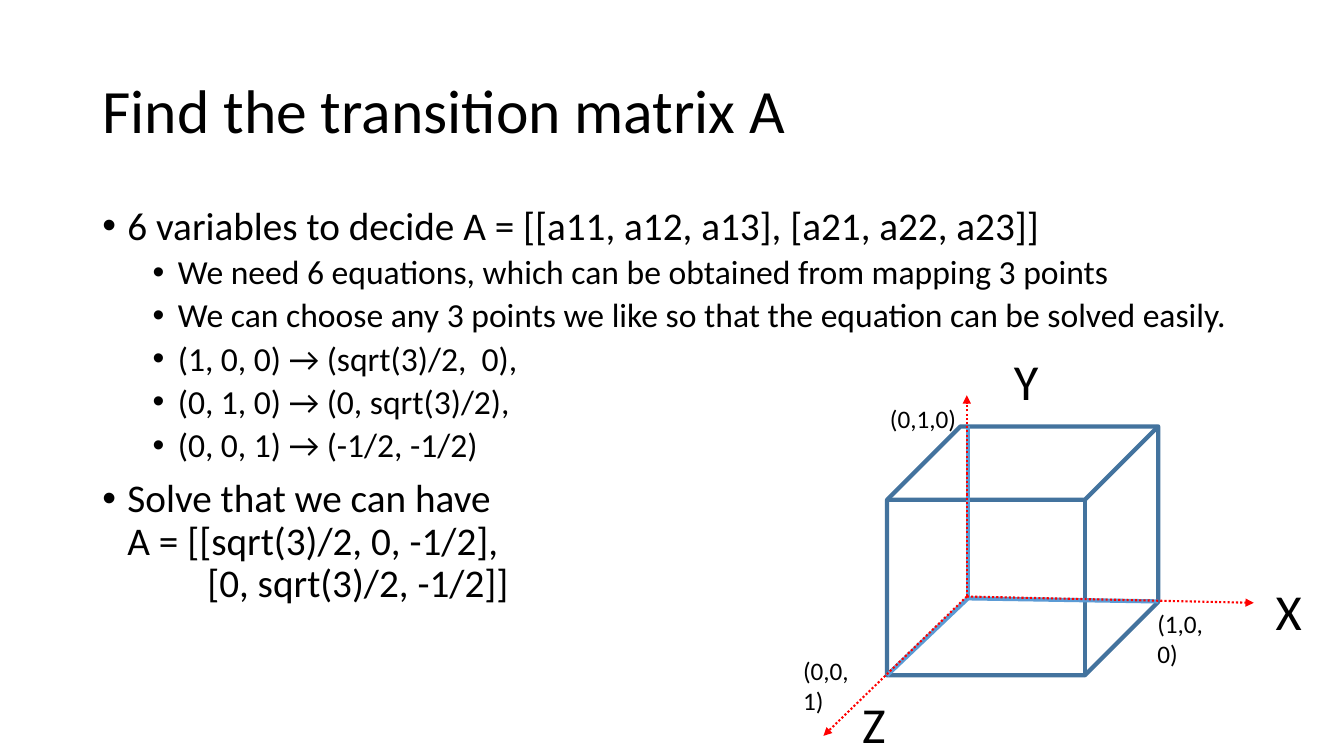
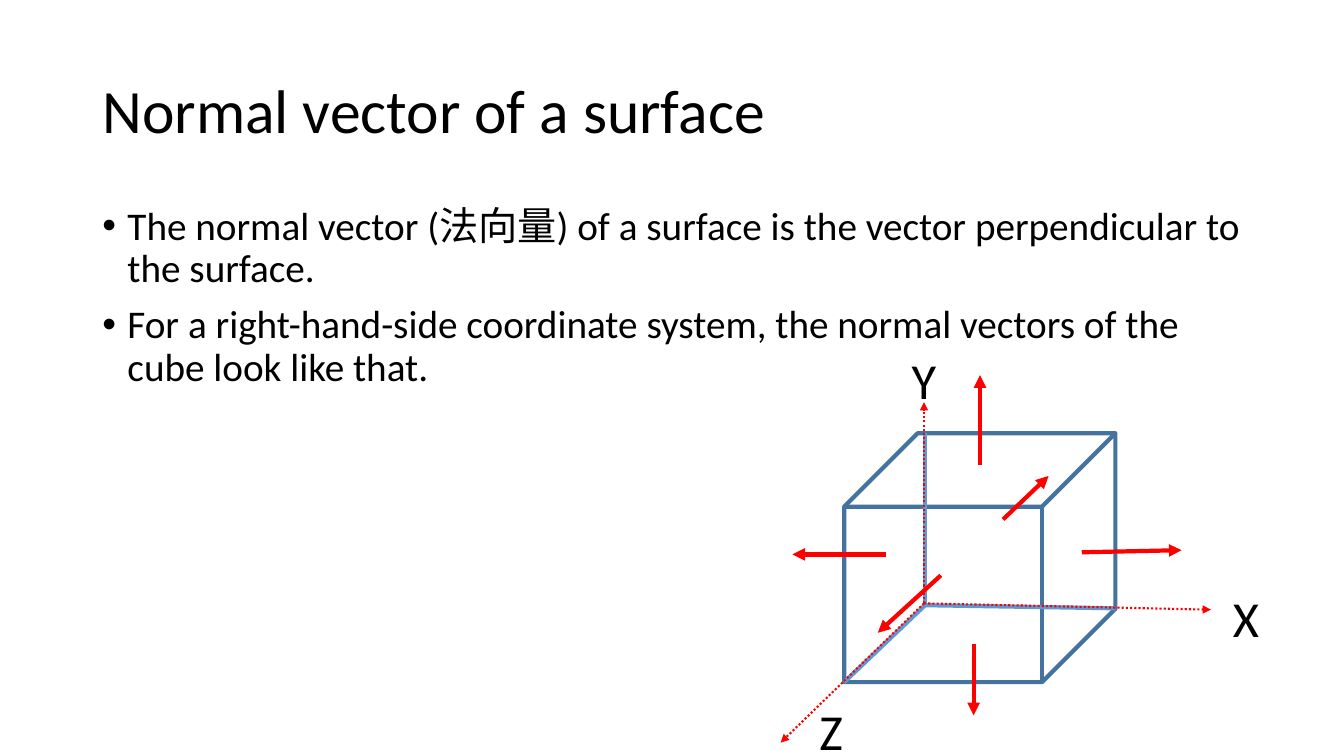
from lxml.etree import SubElement
from pptx import Presentation
from pptx.dml.color import RGBColor
from pptx.enum.dml import MSO_LINE
from pptx.enum.shapes import MSO_CONNECTOR, MSO_SHAPE
from pptx.enum.text import MSO_ANCHOR, MSO_AUTO_SIZE, PP_ALIGN
from pptx.oxml.ns import qn
from pptx.util import Pt

BLACK = RGBColor(0x00, 0x00, 0x00)
EDGE_BLUE = RGBColor(0x43, 0x73, 0x9E)
HIDDEN_BLUE = RGBColor(0x5B, 0x9B, 0xD5)
RED = RGBColor(0xFF, 0x00, 0x00)
FONT = "Calibri"
TITLE_BOX = (66, 28.75, 828, 104.4)
BODY_BOX = (66, 143.75, 828, 342.6)
CUBE_SIZE = (193.7, 177.8)
DEPTH = 0.295
LEVELS = [
    {"size": 28, "margin": 18, "before": 10},
    {"size": 24, "margin": 54, "before": 5},
]


def write(para, text, size, margin=0, before=0, spacing=None, bullet=False):
    """Fill a paragraph with text in the shared font."""
    para.text = text
    para.alignment = PP_ALIGN.LEFT
    para.space_before = Pt(before)
    para.line_spacing = spacing
    para.font.name = FONT
    for span in para.runs:
        span.font.name = FONT
        span.font.size = Pt(size)
        span.font.color.rgb = BLACK
    properties = para._p.get_or_add_pPr()
    properties.set("marL", str(Pt(margin)))
    properties.set("indent", str(Pt(-18 if bullet else 0)))
    if bullet:
        SubElement(properties, qn("a:buFont"), typeface="Arial")
        SubElement(properties, qn("a:buChar"), char="•")


def add_title(page, box, text):
    """Place and format the title placeholder."""
    title = page.shapes.title
    title.left, title.top, title.width, title.height = map(Pt, box)
    frame = title.text_frame
    frame.auto_size = MSO_AUTO_SIZE.NONE
    frame.vertical_anchor = MSO_ANCHOR.MIDDLE
    write(frame.paragraphs[0], text, 44, spacing=0.9)


def add_body(page, box, items):
    """Write (level, text) bullets and return the text frame."""
    frame = page.shapes.add_textbox(*map(Pt, box)).text_frame
    frame.word_wrap = True
    for number, (level, text) in enumerate(items):
        para = frame.add_paragraph() if number else frame.paragraphs[0]
        para.level = level
        write(para, text, spacing=0.9, bullet=True, **LEVELS[level])
    return frame


def add_label(shapes, box, text, size):
    """Add a short unwrapped label."""
    frame = shapes.add_textbox(*map(Pt, box)).text_frame
    frame.word_wrap = False
    frame.auto_size = MSO_AUTO_SIZE.SHAPE_TO_FIT_TEXT
    write(frame.paragraphs[0], text, size)


def add_line(shapes, corner, start, end, color, width=3, dash=None, arrow=False):
    """Draw a line between two points measured from a corner."""
    left, top = corner
    ends = (left + start[0], top + start[1], left + end[0], top + end[1])
    line = shapes.add_connector(MSO_CONNECTOR.STRAIGHT, *map(Pt, ends))
    line.line.color.rgb = color
    line.line.width = Pt(width)
    if dash:
        line.line.dash_style = dash
    properties = line.element.spPr
    if arrow:
        SubElement(properties.find(qn("a:ln")), qn("a:tailEnd"), type="triangle")
    SubElement(properties, qn("a:effectLst"))


def add_cube(page, corner, y_label):
    """Draw the wire cube with its axes and return the group's shapes."""
    shapes = page.shapes.add_group_shape().shapes
    left, top = corner
    width, height = CUBE_SIZE
    cube = shapes.add_shape(MSO_SHAPE.CUBE, *map(Pt, (left, top, width, height)))
    cube.adjustments[0] = DEPTH
    cube.shadow.inherit = False
    cube.fill.background()
    cube.line.color.rgb = EDGE_BLUE
    cube.line.width = Pt(3)

    hidden = (57.8, 122.8)
    for end in [(hidden[0], 0), (width, 125), (0, height)]:
        add_line(shapes, corner, hidden, end, HIDDEN_BLUE)
    axis_ends = [(262, 126), (-45.4, 221), (57, -22.3)]
    for end in axis_ends:
        add_line(shapes, corner, (57, 121.5), end, RED, width=1.5,
                 dash=MSO_LINE.ROUND_DOT, arrow=True)
    labels = {"X": (270.5, 106), "Z": (-24.8, 187), "Y": y_label}
    for text, (across, down) in labels.items():
        add_label(shapes, (left + across, top + down, 32.5, 51), text, 36)
    return shapes


def build_matrix_slide(deck):
    """Build the transition matrix slide."""
    page = deck.slides.add_slide(deck.slide_layouts[5])
    add_title(page, TITLE_BOX, "Find the transition matrix A")
    frame = add_body(page, BODY_BOX, [
        (0, "6 variables to decide A = [[a11, a12, a13], [a21, a22, a23]]"),
        (1, "We need 6 equations, which can be obtained from mapping 3 points"),
        (1, "We can choose any 3 points we like so that the equation can be solved easily."),
        (1, "(1, 0, 0) → (sqrt(3)/2,  0),"),
        (1, "(0, 1, 0) → (0, sqrt(3)/2),"),
        (1, "(0, 0, 1) → (-1/2, -1/2)"),
        (0, "Solve that we can have\vA = [[sqrt(3)/2, 0, -1/2],"),
    ])
    write(frame.add_paragraph(), "[0, sqrt(3)/2, -1/2]]", 28, margin=75, spacing=0.9)
    left, top = corner = (633.6, 304.6)
    shapes = add_cube(page, corner, (83.5, -58.3))
    points = [("(0,1,0)", -5, -20), ("(1,0, 0)", 186, 126), ("(0,0, 1)", -67, 160)]
    for text, across, down in points:
        add_label(shapes, (left + across, top + down, 64, 29), text, 18)


def build_normals_slide(deck):
    """Build the surface normals slide."""
    page = deck.slides.add_slide(deck.slide_layouts[5])
    add_title(page, TITLE_BOX, "Normal vector of a surface")
    add_body(page, BODY_BOX, [
        (0, "The normal vector (法向量) of a surface is the vector perpendicular to the surface."),
        (0, "For a right-hand-side coordinate system, the normal vectors of the cube look like that."),
    ])
    corner = (603, 309.5)
    add_cube(page, corner, (41, -64))
    normals = [
        ((169.7, 85), (241, 83.5)),
        ((30, 86.5), (-37, 86.5)),
        ((97, 22.5), (97, -41.5)),
        ((113.5, 61.5), (146, 30.5)),
        ((69, 101.5), (24, 142.5)),
        ((92.5, 150.5), (92.5, 201.5)),
    ]
    for start, end in normals:
        add_line(page.shapes, corner, start, end, RED, arrow=True)


def main():
    """Build and save the deck."""
    deck = Presentation()
    deck.slide_width, deck.slide_height = Pt(960), Pt(540)
    build_matrix_slide(deck)
    build_normals_slide(deck)
    deck.save("out.pptx")


main()
